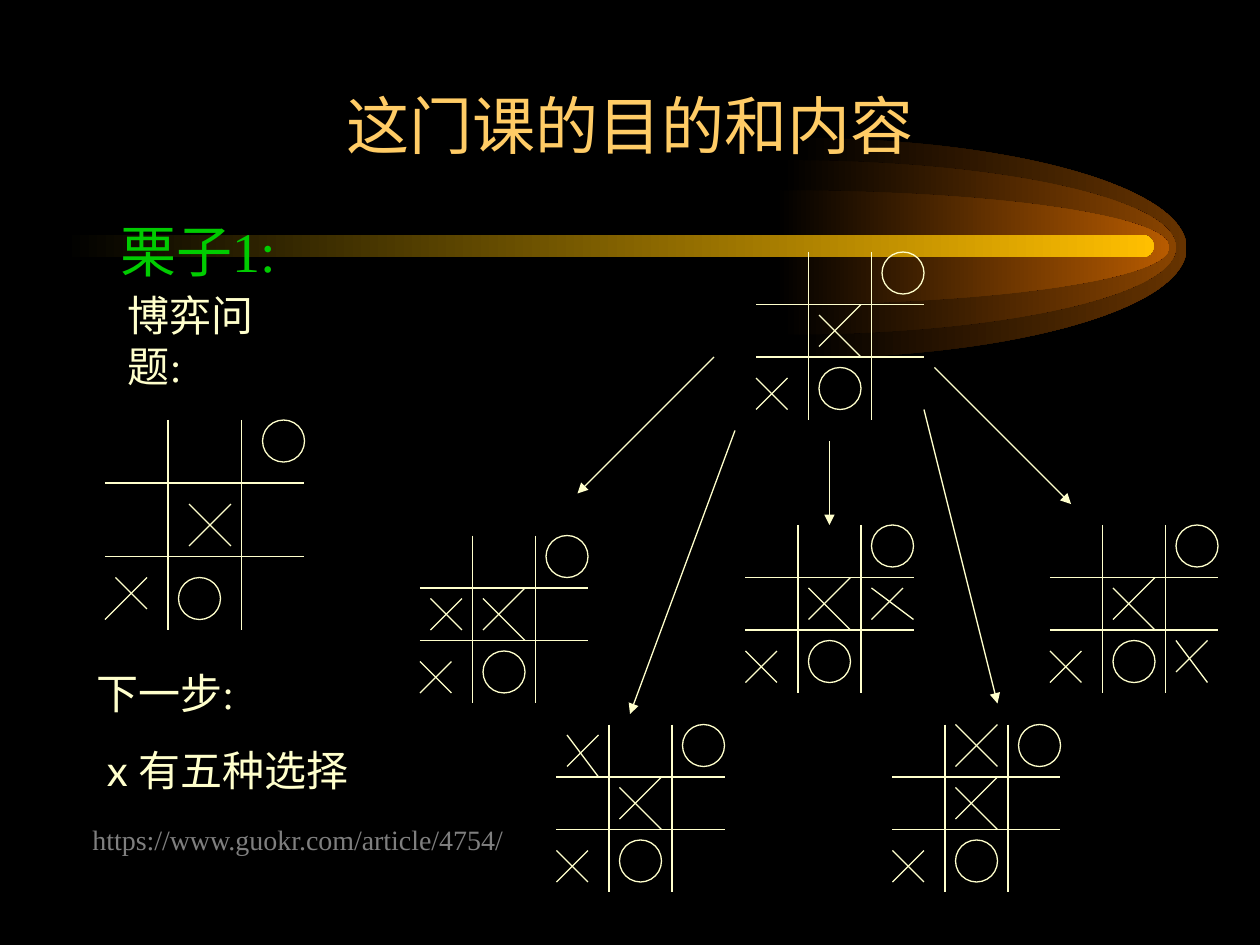
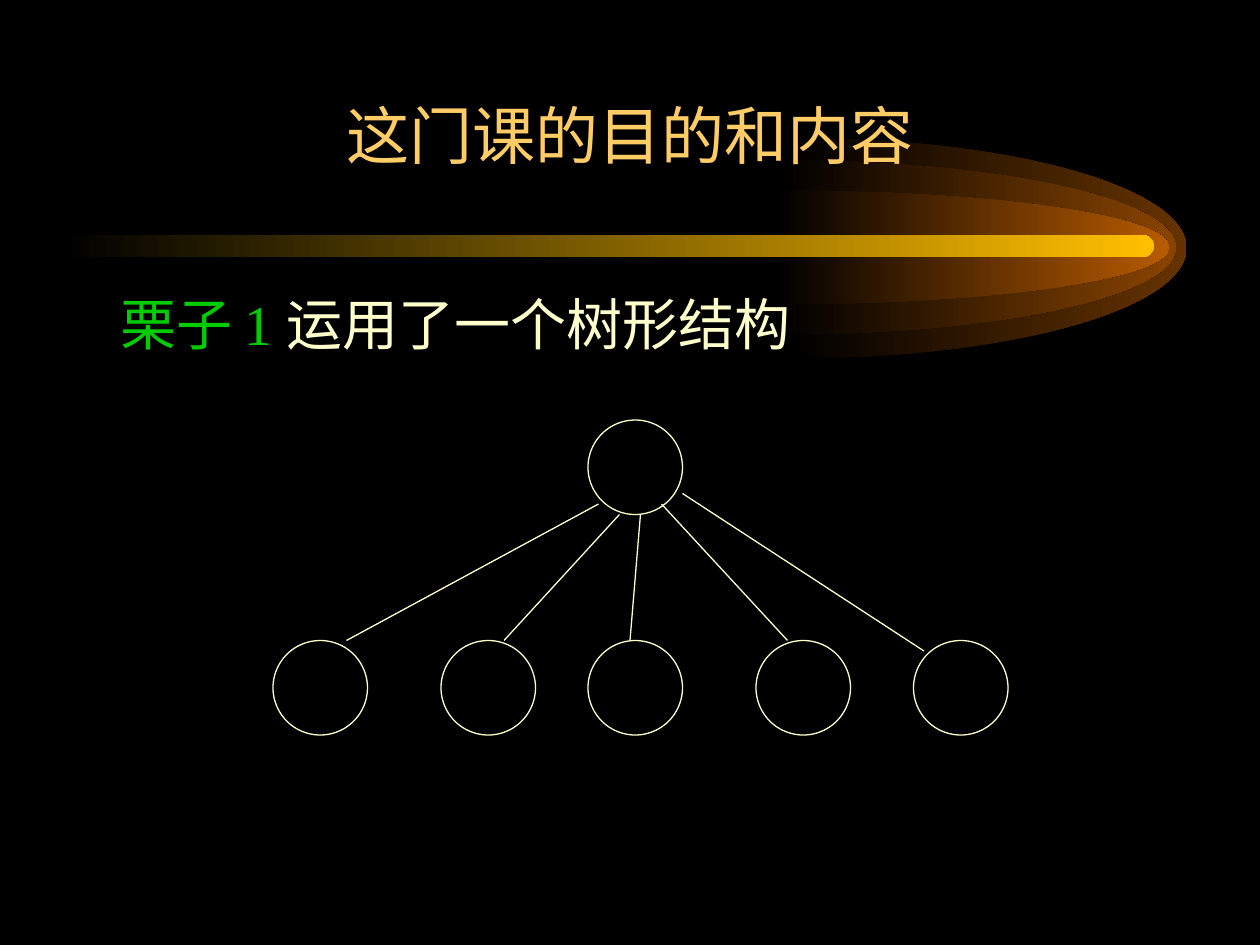
from dataclasses import dataclass
from typing import Any

from lxml.etree import SubElement
from pptx import Presentation
from pptx.dml.color import RGBColor
from pptx.enum.shapes import MSO_CONNECTOR as Connector, MSO_SHAPE as Preset
from pptx.enum.text import MSO_ANCHOR as Anchor, PP_ALIGN as Align
from pptx.oxml.ns import qn
from pptx.util import Emu, Pt

PX = 9525  # EMU in one px, 96 px to the inch
BLACK, CREAM, GOLD, GREEN, GREY = "000000", "FFFFCC", "FFCC66", "00CC00", "7F7F7F"
SERIF, SANS, CJK = "Times New Roman", "Lato", "Noto Sans CJK SC"
MARK = 32
NODE = 72

Point = tuple[int, int]
Stroke = tuple[int, int, int, int]


@dataclass(frozen=True)
class Tier:
    """One half-ellipse of the comet glow."""
    left: int
    top: int
    height: int
    color: str


@dataclass(frozen=True)
class Position:
    """A tic-tac-toe position, measured from the board's corner."""
    width: int
    height: int
    rules: tuple[int, int]
    columns: tuple[int, int]
    noughts: tuple[Point, ...]
    strokes: tuple[Stroke, ...]


@dataclass(frozen=True)
class Move:
    """A next move: its board's corner, the new cross and the arrow to it."""
    corner: Point
    cross: tuple[Stroke, Stroke]
    arrow: Stroke


@dataclass(frozen=True)
class Span:
    text: str
    color: str = ""
    font: str = ""


GLOW_WIDTH = 300
BEZIER = 0.5523  # handle length that bends a cubic curve into a quarter ellipse
GLOW = (
    Tier(604, 105, 168, "663300"),
    Tier(596, 122, 133, "894400"),
    Tier(591, 145, 87, "B75B00"),
)
LARGE = Position(
    152, 160, (48, 104), (48, 104), ((120, 0), (56, 120)),
    ((64, 64, 96, 96), (96, 64, 64, 96), (8, 120, 32, 144), (32, 120, 0, 152)),
)
SMALL = Position(
    128, 128, (40, 80), (40, 88), ((96, 0), (48, 88)),
    ((48, 48, 80, 80), (80, 40, 48, 72), (0, 96, 24, 120), (24, 96, 0, 120)),
)
MOVES = (
    Move((320, 408), ((8, 48, 32, 72), (32, 48, 8, 72)), (544, 272, 440, 376)),
    Move((424, 552), ((8, 8, 32, 40), (32, 8, 8, 32)), (560, 328, 480, 544)),
    Move((680, 552), ((48, 0, 80, 32), (80, 0, 48, 32)), (704, 312, 760, 536)),
    Move((568, 400), ((96, 48, 128, 72), (120, 48, 96, 72)), (632, 336, 632, 400)),
    Move((800, 400), ((96, 88, 120, 120), (120, 88, 96, 112)), (712, 280, 816, 384)),
)
ROOT = (448, 320)
LEAF_TOP = 488
LEAVES = (208, 336, 448, 576, 696)
EDGES = (
    (456, 384, 264, 488), (472, 392, 384, 488), (488, 392, 480, 488),
    (504, 384, 600, 488), (520, 376, 704, 496),
)


def px(value: float) -> Emu:
    return Emu(round(value * PX))


def rgb(color: str) -> RGBColor:
    return RGBColor.from_string(color)


def fade_from_black(shape: Any, color: str) -> None:
    shape.shadow.inherit = False
    shape.line.fill.background()
    shape.fill.gradient()
    shape.fill.gradient_angle = 0
    for stop, shade in zip(shape.fill.gradient_stops, (BLACK, color)):
        stop.color.rgb = rgb(shade)


def bend_lines(shape: Any) -> None:
    """Turn every three line segments of a freeform into one cubic curve."""
    outline = next(shape.element.iter(qn("a:path")))
    lines = outline.findall(qn("a:lnTo"))
    for start in range(0, len(lines), 3):
        curve = SubElement(outline, qn("a:cubicBezTo"))
        for line in lines[start:start + 3]:
            curve.append(line[0])
            outline.remove(line)
    outline.append(outline.find(qn("a:close")))


def add_tier(page: Any, tier: Tier) -> Any:
    radius = tier.height / 2
    middle = tier.top + radius
    tip = tier.left + GLOW_WIDTH
    handle_x = tier.left + GLOW_WIDTH * BEZIER
    upper = [(handle_x, tier.top), (tip, middle - radius * BEZIER)]
    lower = [(x, 2 * middle - y) for x, y in reversed(upper)]
    controls = [*upper, (tip, middle), *lower, (tier.left, tier.top + tier.height)]
    builder = page.shapes.build_freeform(px(tier.left), px(tier.top))
    builder.add_line_segments([(px(x), px(y)) for x, y in controls], close=True)
    shape = builder.convert_to_shape()
    bend_lines(shape)
    fade_from_black(shape, tier.color)
    return shape


def dress_layout(layout: Any, page: Any) -> None:
    """Set the black ground and move the comet, drawn on page, to the layout."""
    layout.background.fill.solid()
    layout.background.fill.fore_color.rgb = rgb(BLACK)
    comet = [add_tier(page, tier) for tier in GLOW]
    tail = page.shapes.add_shape(
        Preset.ROUNDED_RECTANGLE, px(48), px(179), px(831), px(17))
    tail.adjustments[0] = 0.5
    fade_from_black(tail, "FFBF00")
    for shape in (*comet, tail):
        layout.shapes.element.append(shape.element)


def style_paragraph(para: Any, size: int, color: str, font: str) -> None:
    para.font.size = Pt(size)
    para.font.color.rgb = rgb(color)
    para.font.name = font
    props = para._p.get_or_add_pPr().get_or_add_defRPr()
    SubElement(props, qn("a:ea"), typeface=CJK)


def set_title(page: Any, top: int) -> None:
    title = page.shapes.title
    title.left, title.top, title.width, title.height = map(px, (72, top, 816, 120))
    title.text_frame.text = "这门课的目的和内容"
    title.text_frame.vertical_anchor = Anchor.BOTTOM
    para = title.text_frame.paragraphs[0]
    para.alignment = Align.CENTER
    style_paragraph(para, 36, GOLD, CJK)


def add_text(page: Any, frame: Stroke, size: int, *lines: list[Span],
             color: str = CREAM) -> Any:
    box = page.shapes.add_textbox(*map(px, frame))
    box.text_frame.word_wrap = True
    for index, line in enumerate(lines):
        para = (box.text_frame.add_paragraph() if index
                else box.text_frame.paragraphs[0])
        if index:
            para.space_before = Pt(15)
        style_paragraph(para, size, color, SERIF)
        for span in line:
            run = para.add_run()
            run.text = span.text
            if span.color:
                run.font.color.rgb = rgb(span.color)
            if span.font:
                run.font.name = span.font
    return box


def add_stroke(page: Any, stroke: Stroke, arrow: bool = False) -> None:
    line = page.shapes.add_connector(Connector.STRAIGHT, *map(px, stroke))
    line.line.color.rgb = rgb(CREAM)
    line.line.width = Pt(0.75)
    if arrow:
        SubElement(line.line._get_or_add_ln(), qn("a:tailEnd"), type="triangle")
    SubElement(line.element.spPr, qn("a:effectLst"))


def add_circle(page: Any, left: int, top: int, size: int) -> None:
    circle = page.shapes.add_shape(Preset.OVAL, *map(px, (left, top, size, size)))
    circle.shadow.inherit = False
    circle.fill.background()
    circle.line.color.rgb = rgb(CREAM)
    circle.line.width = Pt(0.75)


def add_board(page: Any, corner: Point, position: Position,
              cross: tuple[Stroke, ...] = ()) -> None:
    left, top = corner
    rows = [(0, y, position.width, y) for y in position.rules]
    columns = [(x, 0, x, position.height) for x in position.columns]
    for x1, y1, x2, y2 in (*rows, *columns, *position.strokes, *cross):
        add_stroke(page, (left + x1, top + y1, left + x2, top + y2))
    for x, y in position.noughts:
        add_circle(page, left + x, top + y, MARK)


def build_game_page(page: Any) -> None:
    set_title(page, 8)
    add_text(page, (82, 160, 806, 432), 32, [Span("栗子1:", GREEN)])
    add_board(page, (80, 320), LARGE)
    add_board(page, (576, 192), SMALL)
    for move in MOVES:
        add_board(page, move.corner, SMALL, move.cross)
        add_stroke(page, move.arrow, arrow=True)
    step = add_text(page, (64, 504, 280, 106), 24, [Span("下一步:")],
                    [Span("x ", font=SANS), Span("有五种选择")])
    step.text_frame.paragraphs[1]._p.pPr.set("marL", str(px(8)))
    add_text(page, (88, 216, 144, 86), 24, [Span("博弈问题:")])
    add_text(page, (61, 622, 480, 36), 16,
             [Span("https://www.guokr.com/article/4754/")], color=GREY)


def build_tree_page(page: Any) -> None:
    set_title(page, 16)
    add_text(page, (82, 216, 806, 432), 32,
             [Span("栗子 1 ", GREEN), Span("运用了一个树形结构")])
    add_circle(page, *ROOT, NODE)
    for left in LEAVES:
        add_circle(page, left, LEAF_TOP, NODE)
    for edge in EDGES:
        add_stroke(page, edge)


def main() -> None:
    deck = Presentation()
    deck.slide_width, deck.slide_height = px(960), px(720)
    layout = deck.slide_layouts[5]
    game, tree = (deck.slides.add_slide(layout) for _ in range(2))
    dress_layout(layout, game)
    build_game_page(game)
    build_tree_page(tree)
    deck.save("out.pptx")


if __name__ == "__main__":
    main()
